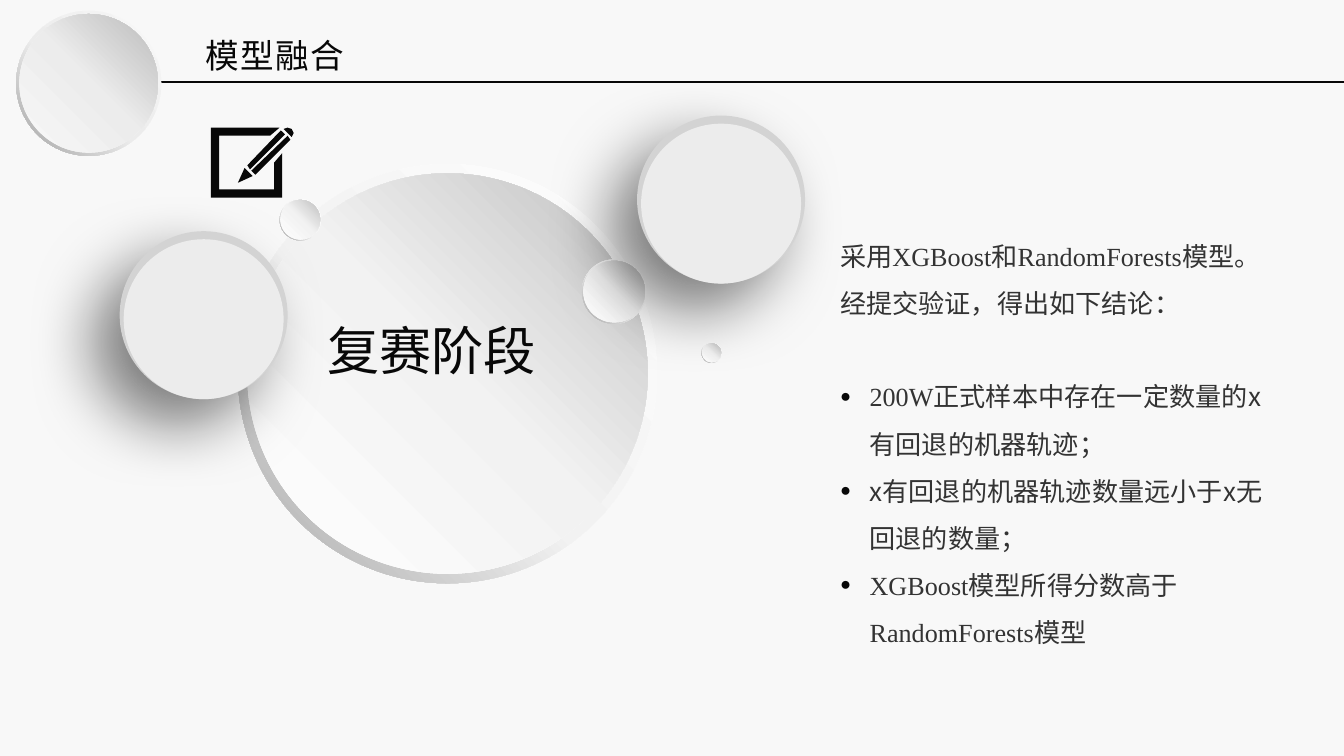
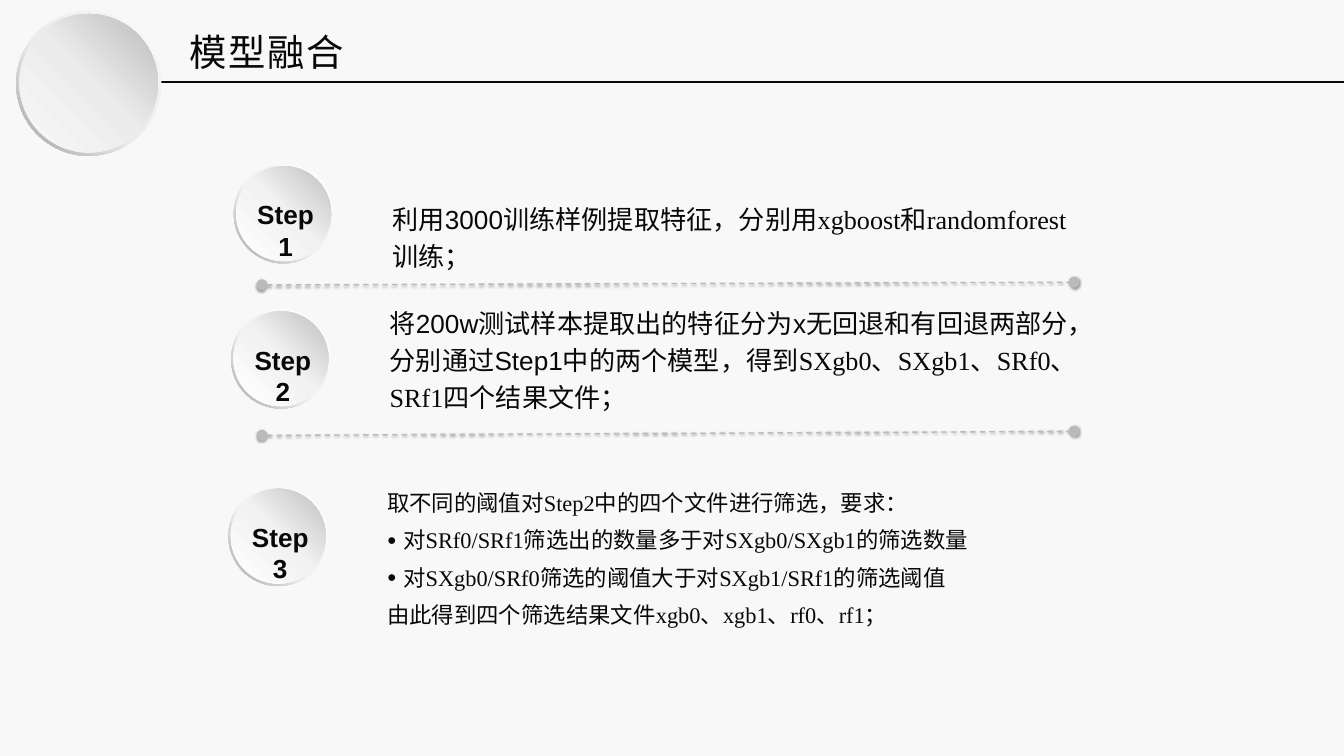
from lxml import etree
from pptx import Presentation
from pptx import util as u
from pptx.dml.color import RGBColor
from pptx.enum import dml, shapes, text
from pptx.oxml.ns import qn

BACK = RGBColor(0xF8, 0xF8, 0xF8)
INK = RGBColor(0x08, 0x08, 0x08)
BODY_INK = RGBColor(0x33, 0x33, 0x33)
BLACK = RGBColor(0, 0, 0)
RULE_GREY = RGBColor(0xBA, 0xBA, 0xBA)
RAISED_EDGE = RGBColor(0xD3, 0xD3, 0xD3)
RAISED_FACE = RGBColor(0xEC, 0xEC, 0xEC)
WHITE = RGBColor(0xFF, 0xFF, 0xFF)
PALE = RGBColor(0xF2, 0xF2, 0xF2)

# Gradient stops of the two-part discs: ring, then face
WHITE_DISC = (((0, WHITE), (55, PALE), (100, RGBColor(0xA6, 0xA6, 0xA6))),
              ((0, WHITE), (51, PALE), (100, RGBColor(0xBF, 0xBF, 0xBF))))
HEADER_DISC = (((0, BACK), (55, RAISED_FACE), (100, RGBColor(0xA1, 0xA1, 0xA1))),
               ((0, BACK), (51, RAISED_FACE), (100, RULE_GREY)))

SANS, HEAN, HEAD, SERIF = "Arial", "Noto Sans CJK SC", "Noto Sans CJK JP", "Times New Roman"

COLS, ROWS = 100, 56.25  # square grid cells
CELL = u.Inches(10) / COLS


def cells(*values):
    return [u.Emu(round(v * CELL)) for v in values]


def add_xml(parent, tag, **attrs):
    return etree.SubElement(parent, qn(tag), {k: str(v) for k, v in attrs.items()})


def write(p, content, size=14, font=HEAN, ea=HEAN, color=INK, bold=False, spc=None,
          align=text.PP_ALIGN.LEFT, leading=None, before=0, bullet=0):
    """Fill a paragraph; parts between bars are set in the serif font."""
    pPr = p._p.get_or_add_pPr()
    indent = cells(bullet)[0]
    pPr.set("marL", str(indent))
    pPr.set("indent", str(-indent))
    if bullet:
        ink = add_xml(pPr, "a:buClr")
        add_xml(ink, "a:srgbClr", val=INK)
        add_xml(pPr, "a:buSzPct", val=70000)
        add_xml(pPr, "a:buFont", typeface=SANS)
        add_xml(pPr, "a:buChar", char="●")
    else:
        add_xml(pPr, "a:buNone")
    p.alignment = align
    p.space_before = u.Pt(before)
    if leading:
        p.line_spacing = leading
    for i, part in enumerate(content.split("|")):
        if not part:
            continue
        r = p.add_run()
        r.text = part
        r.font.name = SERIF if i % 2 else font
        r.font.size = u.Pt(size)
        r.font.bold = bold
        r.font.color.rgb = color
        add_xml(r.font._element, "a:ea", typeface=ea)
        if spc:
            r.font._element.set("spc", str(spc))


class Deck:
    def __init__(self):
        self.prs = Presentation()
        self.prs.slide_width, self.prs.slide_height = cells(COLS, ROWS)
        self.s = None

    def new_slide(self, title, left, top, width, height, size):
        self.s = self.prs.slides.add_slide(self.prs.slide_layouts[1])
        self.s.background.fill.solid()
        self.s.background.fill.fore_color.rgb = BACK
        # Header: rule, disc and title
        self.line(10.6, 6.1, COLS, 6.1, INK)
        self.disc(1.2, 0.8, 10.8, HEADER_DISC)
        tf = self.frame(self.s.shapes.title, left, top, width, height, (1, 0.5))
        write(tf.paragraphs[0], title, size=size, font=HEAD, ea=HEAD, spc=80)

    def frame(self, sp, left, top, width, height, inset):
        sp.left, sp.top, sp.width, sp.height = cells(left, top, width, height)
        tf = sp.text_frame
        tf.word_wrap = True
        tf.auto_size = text.MSO_AUTO_SIZE.NONE
        tf.vertical_anchor = text.MSO_ANCHOR.TOP
        tf.margin_left, tf.margin_top = cells(*inset)
        tf.margin_right, tf.margin_bottom = cells(*inset)
        return tf

    def text(self, box, paragraphs, inset=(0.7, 0.4), holder=None, **style):
        """Write (text, extra format) pairs in a text box or placeholder."""
        sp = holder or self.s.shapes.add_textbox(*cells(*box))
        tf = self.frame(sp, *box, inset)
        for i, (content, extra) in enumerate(paragraphs):
            p = tf.add_paragraph() if i else tf.paragraphs[0]
            write(p, content, **{**style, **extra})

    def body(self, box, paragraphs, **style):
        self.text(box, paragraphs, holder=self.s.placeholders[1], **style)

    def shadow(self, effects, alpha, blur, dist, angle):
        shade = add_xml(effects, "a:outerShdw", blurRad=u.Pt(blur), dist=u.Pt(dist),
                        dir=angle * 60000, algn="ctr", rotWithShape=0)
        add_xml(add_xml(shade, "a:srgbClr", val=BLACK), "a:alpha", val=alpha * 1000)

    def line(self, x1, y1, x2, y2, color, dotted=False):
        c = self.s.shapes.add_connector(shapes.MSO_CONNECTOR.STRAIGHT,
                                        *cells(x1, y1, x2, y2))
        c.line.color.rgb = color
        c.line.width = u.Pt(0.75)
        spPr = c.element.spPr
        effects = add_xml(spPr, "a:effectLst")
        if dotted:
            c.line.dash_style = dml.MSO_LINE.DASH
            ln = spPr.find(qn("a:ln"))
            add_xml(ln, "a:headEnd", type="oval")
            add_xml(ln, "a:tailEnd", type="oval")
            self.shadow(effects, 38, 1, 0.5, 90)

    def plain(self, sp, color):
        sp.shadow.inherit = False
        sp.line.fill.background()
        sp.fill.solid()
        sp.fill.fore_color.rgb = color
        return sp

    def gradient(self, sp, stops, angle):
        self.plain(sp, WHITE)
        sp.fill.gradient()
        sp.fill.gradient_angle = 360 - angle
        gs_list = sp.element.spPr.find(qn("a:gradFill")).find(qn("a:gsLst"))
        for gs in list(gs_list):
            gs_list.remove(gs)
        for pos, color in stops:
            add_xml(add_xml(gs_list, "a:gs", pos=pos * 1000), "a:srgbClr", val=color)

    def disc(self, left, top, size, tones=WHITE_DISC):
        """Ring and face with opposite gradients; returns the face."""
        group = self.s.shapes.add_group_shape().shapes
        ring = group.add_shape(shapes.MSO_SHAPE.DONUT, *cells(left, top, size, size))
        ring.adjustments[0] = 0.049
        self.gradient(ring, tones[0], 135)
        gap, inner = size * 0.0225, size * 0.955
        face = group.add_shape(shapes.MSO_SHAPE.OVAL,
                               *cells(left + gap, top + gap, inner, inner))
        self.gradient(face, tones[1], 315)
        return face

    def raised_disc(self, left, top, size=12.5, inner=11.9):
        group = self.s.shapes.add_group_shape().shapes
        oval = shapes.MSO_SHAPE.OVAL
        edge = self.plain(group.add_shape(oval, *cells(left, top, size, size)), RAISED_EDGE)
        self.shadow(edge.element.spPr.find(qn("a:effectLst")), 50, 35, 20, 135)
        gap = (size - inner) / 2
        self.plain(group.add_shape(oval, *cells(left + gap, top + 2 * gap, inner, inner)),
                   RAISED_FACE)

    def icon(self, outlines):
        group = self.s.shapes.add_group_shape().shapes
        for start, *rest in outlines:
            builder = group.build_freeform(*cells(*start))
            builder.add_line_segments([cells(*point) for point in rest])
            self.plain(builder.convert_to_shape(), INK)


NOTE_ICON = [
    # Pencil tip, two halves of the shaft, rubber, sheet
    [(18.8, 13.1), (18.2, 12.5), (17.7, 13.6)],
    [(20.9, 9.7), (18.4, 12.3), (18.6, 12.6), (21.2, 10)],
    [(18.7, 12.7), (19, 13), (21.6, 10.4), (21.4, 10.1)],
    [(21.1, 9.6), (21.4, 9.5), (21.7, 9.6), (21.85, 9.9), (21.7, 10.2)],
    [(20.4, 14.1), (16.3, 14.1), (16.3, 10.1), (20.1, 10.1), (20.8, 9.5), (15.7, 9.5),
     (15.7, 14.7), (21, 14.7), (21, 11.4), (20.4, 12.1)],
]


def stage_slide(deck):
    deck.new_slide("模型融合", 14.3, 2.1, 69.3, 7.1, size=18)
    # Discs around the stage name
    stage = deck.disc(17.7, 12.2, 31.2)
    tf = stage.text_frame
    tf.vertical_anchor = text.MSO_ANCHOR.MIDDLE
    tf.margin_left, tf.margin_bottom = cells(1.6, 4)
    write(tf.paragraphs[0], "复赛阶段", size=28)
    deck.disc(20.8, 14.8, 3.1)
    deck.icon(NOTE_ICON)
    deck.raised_disc(8.9, 17.2)
    deck.disc(43.3, 19.3, 4.8)
    deck.disc(52.2, 25.5, 1.5)
    deck.raised_disc(47.4, 8.6)
    # Findings
    item = {"bullet": 2.2}
    deck.body((61.8, 16.3, 34.5, 32.5), [
        ("采用|XGBoost|和|RandomForests|模型。经提交验证，得出如下结论：", {}),
        ("|200W|正式样本中存在一定数量的x有回退的机器轨迹；", {**item, "before": 25}),
        ("x有回退的机器轨迹数量远小于x无回退的数量；", item),
        ("|XGBoost|模型所得分数高于|RandomForests|模型", item),
    ], color=BODY_INK, leading=1.5)


def steps_slide(deck):
    deck.new_slide("模型融合", 13.1, 1.7, 34.7, 4.4, size=20)
    # Step discs, each a little further left than the one above
    for i, top in enumerate((12.2, 23, 36.2)):
        left = 17.4 - 0.2 * i
        deck.disc(left, top, 7.4)
        deck.text((left + 0.4, top + 2.1, 6.9, 3.4), [(f"Step{i + 1}", {})], inset=(1, 0.5),
                  font=SANS, bold=True, align=text.PP_ALIGN.CENTER)
    # Separators
    for y1, y2 in ((21.2, 21), (32.4, 32.1)):
        deck.line(19.5, y1, 79.9, y2, RULE_GREY, dotted=True)
    # Step texts
    style = {"font": SANS, "leading": u.Pt(20)}
    deck.text((28.5, 14.3, 53.5, 6.3), [
        ("利用3000训练样例提取特征，分别用|xgboost|和|randomforest|训练；", {})], **style)
    deck.text((28.3, 22, 53.7, 9.1), [
        ("将200w测试样本提取出的特征分为x无回退和有回退两部分，分别通过Step1中的两个模型，得到"
         "|SXgb0|、|SXgb1|、|SRf0|、|SRf1|四个结果文件；", {})], **style)
    item = {"bullet": 1.2}
    deck.body((28.1, 35.2, 53.9, 12), [
        ("取不同的阈值对|Step2|中的四个文件进行筛选，要求：", {}),
        ("对|SRf0/SRf1|筛选出的数量多于对|SXgb0/SXgb1|的筛选数量", item),
        ("对|SXgb0/SRf0|筛选的阈值大于对|SXgb1/SRf1|的筛选阈值", item),
        ("由此得到四个筛选结果文件|xgb0、xgb1、rf0、rf1|；", {}),
    ], size=12, **style)


def main():
    deck = Deck()
    stage_slide(deck)
    steps_slide(deck)
    deck.prs.save("out.pptx")


if __name__ == "__main__":
    main()
